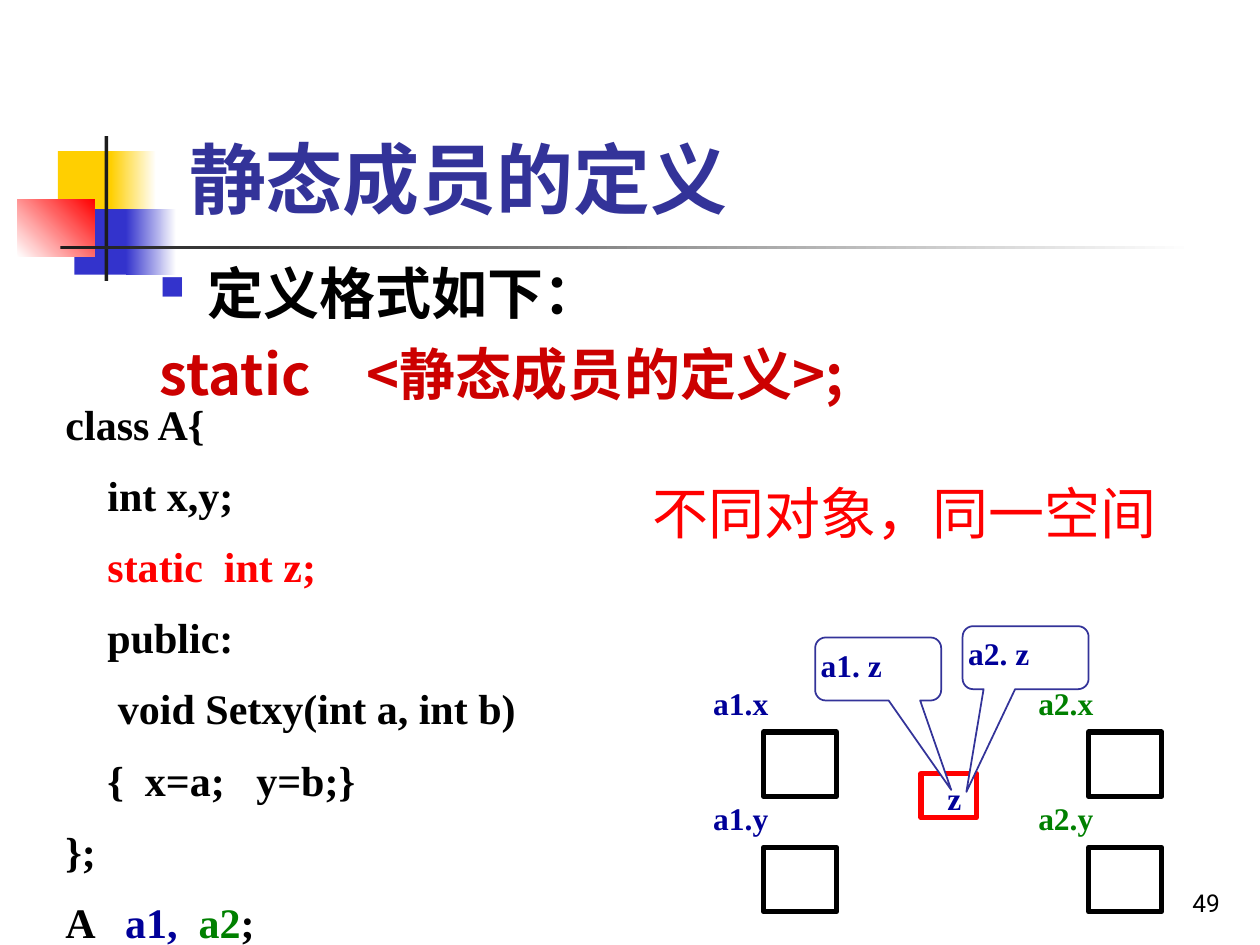
from lxml import etree
from pptx import Presentation
from pptx.dml.color import RGBColor
from pptx.enum.shapes import MSO_SHAPE as Shape
from pptx.enum.text import MSO_ANCHOR as Anchor, PP_ALIGN as Align
from pptx.oxml.ns import qn
from pptx.util import Inches, Pt

BLACK = RGBColor(0x00, 0x00, 0x00)
WHITE = RGBColor(0xFF, 0xFF, 0xFF)
RED = RGBColor(0xFF, 0x00, 0x00)
DARK_RED = RGBColor(0xCC, 0x00, 0x00)
YELLOW = RGBColor(0xFF, 0xCF, 0x01)
BLUE = RGBColor(0x33, 0x33, 0xCC)
INDIGO = RGBColor(0x33, 0x33, 0x99)
NAVY = RGBColor(0x00, 0x00, 0x99)
GREEN = RGBColor(0x00, 0x80, 0x00)
CHARCOAL = RGBColor(0x1C, 0x1C, 0x1C)

SANS = "Noto Sans CJK SC"
SERIF = "Times New Roman"
NUMBER_FONT = "Roboto"
WIDE_MARGINS = (0.1, 0.05, 0.1, 0.05)
TIGHT_MARGINS = (0.02, 0.01, 0.02, 0.01)


def inches(box):
    return [Inches(length) for length in box]


def style_run(run, size, color, font=SERIF, bold=True):
    run.font.size = Pt(size)
    run.font.bold = bold
    run.font.name = font
    run.font.color.rgb = color
    east_asian = etree.Element(qn("a:ea"), typeface=SANS)
    run.font._element.find(qn("a:latin")).addnext(east_asian)


def set_frame(shape, margins, anchor=Anchor.TOP):
    frame = shape.text_frame
    frame.word_wrap = True
    frame.vertical_anchor = anchor
    (frame.margin_left, frame.margin_top,
     frame.margin_right, frame.margin_bottom) = inches(margins)
    return frame


def add_text(shapes, box, text, size, color, font=SERIF, bold=True,
             margins=WIDE_MARGINS, anchor=Anchor.TOP, align=Align.LEFT):
    frame = set_frame(shapes.add_textbox(*inches(box)), margins, anchor)
    frame.text = text
    for paragraph in frame.paragraphs:
        paragraph.alignment = align
        for run in paragraph.runs:
            style_run(run, size, color, font, bold)
    return frame


def add_outlined(shapes, kind, box, line_color, line_width, fill=None):
    shape = shapes.add_shape(kind, *inches(box))
    shape.shadow.inherit = False
    if fill is None:
        shape.fill.background()
    else:
        shape.fill.solid()
        shape.fill.fore_color.rgb = fill
    shape.line.color.rgb = line_color
    shape.line.width = Pt(line_width)
    return shape


def label_shape(shape, text, margins=TIGHT_MARGINS):
    frame = set_frame(shape, margins)
    frame.text = text
    label = frame.paragraphs[0]
    label.alignment = Align.LEFT
    label.line_spacing = 1.1
    style_run(label.runs[0], 18, NAVY)


def add_block(shapes, box, start, end=None, angle=0):
    """Add a borderless rectangle, solid or fading from start to end."""
    block = shapes.add_shape(Shape.RECTANGLE, *inches(box))
    block.shadow.inherit = False
    block.line.fill.background()
    if end is None:
        block.fill.solid()
        block.fill.fore_color.rgb = start
        return
    block.fill.gradient()
    block.fill.gradient_angle = angle
    for stop, color in zip(block.fill.gradient_stops, (start, end)):
        stop.color.rgb = color


def add_ornament(shapes, left, top):
    for x, y, width, height, *colors in (
        (0.32, 0.12, 0.48, 0.52, YELLOW),
        (0.74, 0.12, 0.36, 0.52, YELLOW, WHITE),
        (0.45, 0.58, 0.46, 0.52, BLUE),
        (0.86, 0.58, 0.4, 0.52, BLUE, WHITE),
        (0, 0.5, 0.61, 0.46, WHITE, RED, 45),
        (0.69, 0, 0.03, 1.15, CHARCOAL),
        (0.34, 0.87, 9, 0.03, CHARCOAL, WHITE),
    ):
        add_block(shapes, (left + x, top + y, width, height), *colors)


def add_definition(shapes, box):
    frame = add_text(shapes, box, "定义格式如下：\nstatic\u3000<静态成员的定义>;".replace("\u3000", "　"),
                     32, BLACK, SANS)
    heading, syntax = frame.paragraphs
    for paragraph in (heading, syntax):
        properties = paragraph._p.get_or_add_pPr()
        properties.set("marL", str(Inches(0.38)))
        properties.set("indent", str(-Inches(0.38)))
    bullet = heading._p.get_or_add_pPr()
    bullet_color = etree.SubElement(bullet, qn("a:buClr"))
    etree.SubElement(bullet_color, qn("a:srgbClr"), val=str(BLUE))
    etree.SubElement(bullet, qn("a:buSzPct"), val="60000")
    etree.SubElement(bullet, qn("a:buChar"), char="■")
    syntax.space_before = Pt(8)
    syntax.runs[0].font.color.rgb = DARK_RED


def add_code(shapes, box):
    lines = (
        [("class A{", BLACK)],
        [("    int x,y;", BLACK)],
        [("    static  int z;", RED)],
        [("    public:", BLACK)],
        [("     void Setxy(int a, int b)", BLACK)],
        [("    {  x=a;   y=b;}", BLACK)],
        [("};", BLACK)],
        [("A   ", BLACK), ("a1,  ", NAVY), ("a2", GREEN), (";", BLACK)],
    )
    frame = set_frame(shapes.add_textbox(*inches(box)), TIGHT_MARGINS)
    for index, pieces in enumerate(lines):
        line = frame.add_paragraph() if index else frame.paragraphs[0]
        line.line_spacing = 1.1
        if index:
            line.space_before = Pt(9)
        for text, color in pieces:
            run = line.add_run()
            run.text = text
            style_run(run, 24, color)


def add_object(shapes, name, left, top, color):
    """Group the labelled memory cells of one object's x and y members."""
    cells = shapes.add_group_shape().shapes
    for row, member in enumerate("xy"):
        y = top + row * 0.915
        add_outlined(cells, Shape.RECTANGLE, (left + 0.42, y + 0.42, 0.58, 0.51), BLACK, 3)
        frame = add_text(cells, (left, y, 0.75, 0.35), f"{name}.{member}",
                         18, color, margins=TIGHT_MARGINS)
        frame.paragraphs[0].line_spacing = 1.1


def add_memory_diagram(shapes, left, top):
    add_object(shapes, "a1", left, top + 0.42, NAVY)
    add_object(shapes, "a2", left + 2.58, top + 0.42, GREEN)
    shared_cell = add_outlined(shapes, Shape.RECTANGLE,
                               (left + 1.67, top + 1.17, 0.44, 0.35), RED, 3)
    label_shape(shared_cell, "z", (0.21, 0.01, 0.02, 0.01))
    for text, x, y, tail in (("a1. z", 0.83, 0.09, (0.58, 1.92)),
                             ("a2. z", 2, 0, (-0.47, 2.13))):
        callout = add_outlined(shapes, Shape.ROUNDED_RECTANGULAR_CALLOUT,
                               (left + x, top + y, 1, 0.5), INDIGO, 1, WHITE)
        callout.adjustments[0], callout.adjustments[1] = tail
        label_shape(callout, text)


def main():
    prs = Presentation()
    prs.slide_width, prs.slide_height = Inches(10), Inches(7.5)
    shapes = prs.slides.add_slide(prs.slide_layouts[6]).shapes

    add_ornament(shapes, 0.14, 1.08)
    add_text(shapes, (7.7, 6.83, 2.08, 0.5), "49", 14, BLACK, NUMBER_FONT, bold=False,
             anchor=Anchor.BOTTOM, align=Align.RIGHT)
    add_text(shapes, (1.26, 0.23, 8.52, 1.6), "静态成员的定义", 44, INDIGO, SANS,
             margins=(0.24, 0.05, 0.1, 0.05), anchor=Anchor.BOTTOM)
    add_definition(shapes, (1.17, 2, 8.5, 4.5))
    add_code(shapes, (0.5, 3.11, 4.33, 4.42))
    add_memory_diagram(shapes, 5.64, 4.97)
    add_text(shapes, (5.08, 3.75, 4.33, 0.64), "不同对象，同一空间", 32, RED, bold=False)

    prs.save("out.pptx")


if __name__ == "__main__":
    main()
